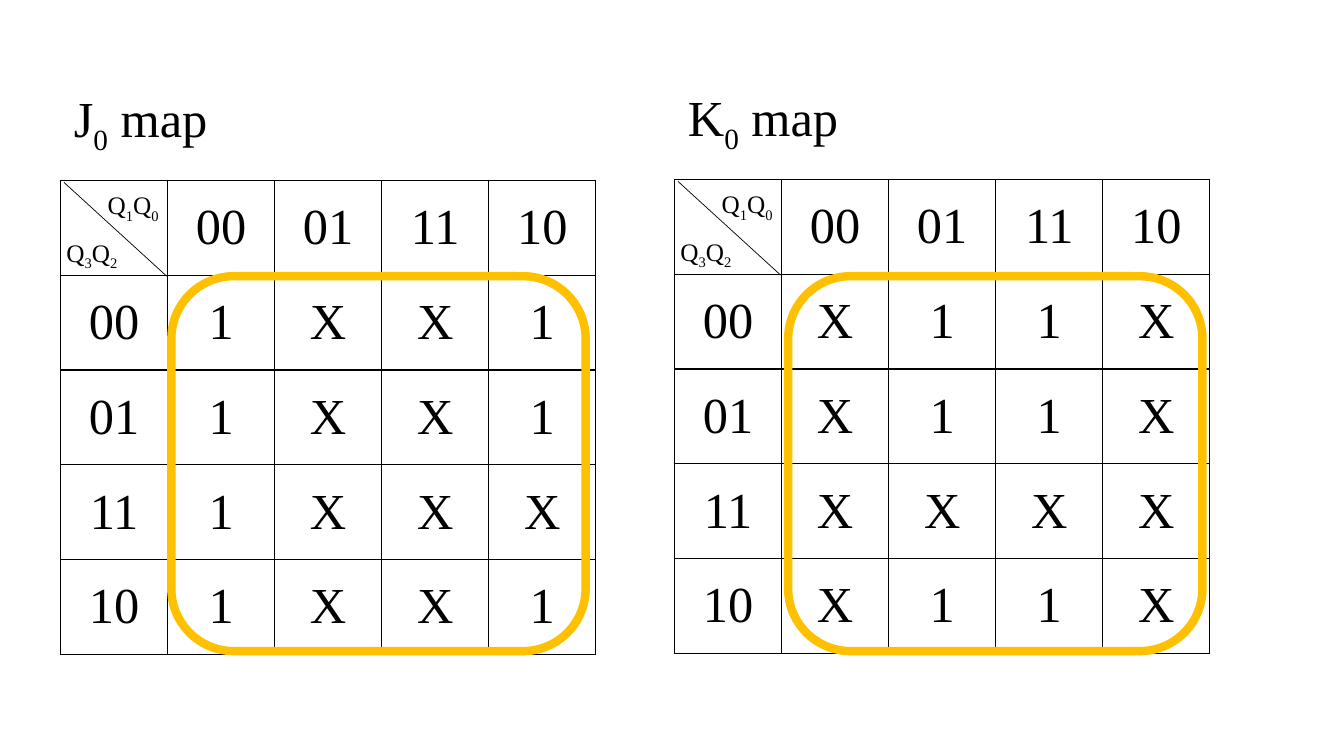
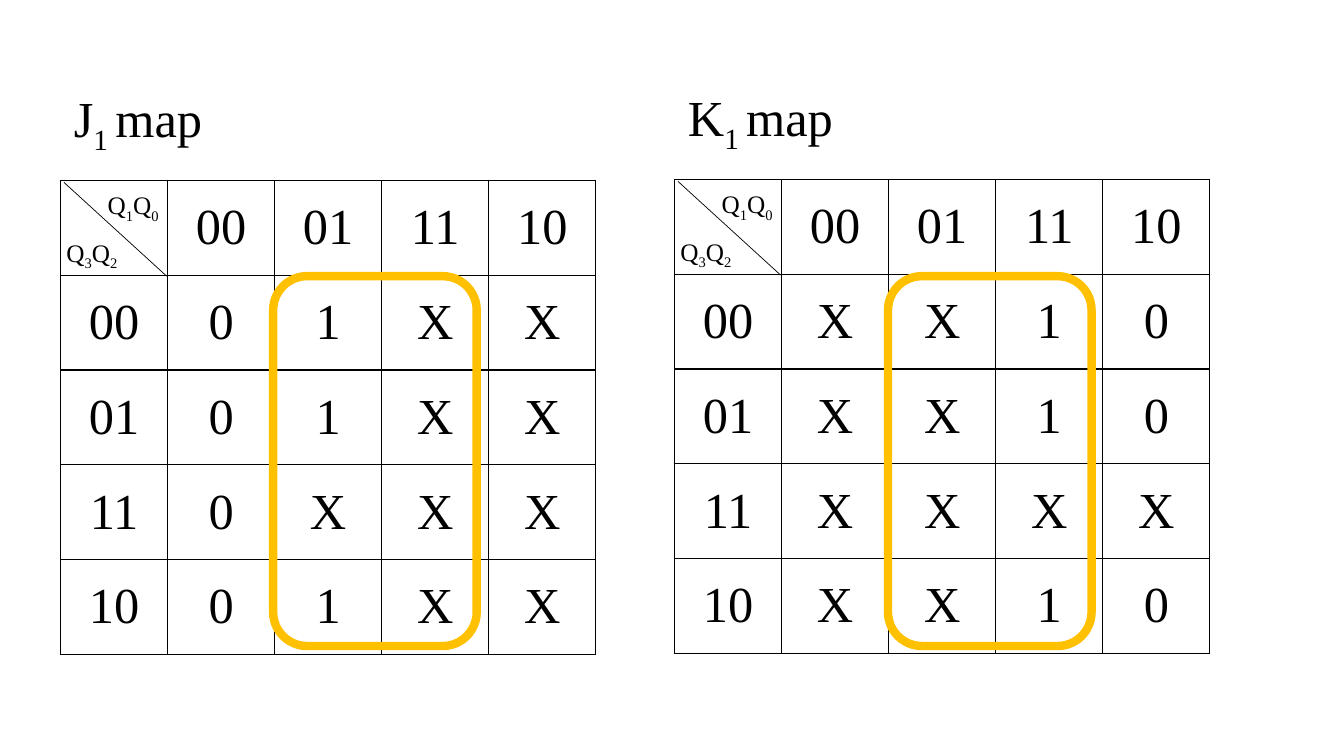
"""Build two slides of Karnaugh maps for the J and K flip-flop inputs."""
from lxml.etree import SubElement
from pptx import Presentation
from pptx.dml.color import RGBColor
from pptx.enum.shapes import MSO_CONNECTOR, MSO_SHAPE
from pptx.enum.text import MSO_ANCHOR, MSO_AUTO_SIZE, PP_ALIGN
from pptx.oxml import parse_xml
from pptx.oxml.ns import nsdecls, qn
from pptx.util import Pt

COLORS = {"ink": "000000", "group": "FFC000"}
FONT = "Times New Roman"
CODES = ["00", "01", "11", "10"]
COLUMN_WIDTH, ROW_HEIGHT = 76.5, 67.7
MAP_ORIGINS = [(43.2, 128.9), (481.8, 128.2)]
GROUP_TOP = 197.3

SLIDES = [
    {
        "subscript": ["0", " map"],
        "group_lefts": [122.4, 563],
        "group_size": (295.9, 267.8),
        "maps": [("J", 112, ["1XX1", "1XX1", "1XXX", "1XX1"]),
                 ("K", 124.6, ["X11X", "X11X", "XXXX", "X11X"])],
    },
    {
        "subscript": ["1 ", "map"],
        "group_lefts": [195.1, 634.3],
        "group_size": (145.4, 264.2),
        "maps": [("J", 112, ["01XX", "01XX", "0XXX", "01XX"]),
                 ("K", 124.6, ["XX10", "XX10", "XXXX", "XX10"])],
    },
]


def style_font(font, size):
    font.name = FONT
    font.size = Pt(size)
    font.color.rgb = RGBColor.from_string(COLORS["ink"])


def add_label(slide, left, top, width, height, size, parts):
    label = slide.shapes.add_textbox(Pt(left), Pt(top), Pt(width), Pt(height))
    label.text_frame.word_wrap = False
    label.text_frame.auto_size = MSO_AUTO_SIZE.SHAPE_TO_FIT_TEXT
    for index, part in enumerate(parts):
        run = label.text_frame.paragraphs[0].add_run()
        run.text = part
        style_font(run.font, size)
        if index % 2:
            run._r.get_or_add_rPr().set("baseline", "-25000")


presentation = Presentation()
presentation.slide_width, presentation.slide_height = Pt(960), Pt(540)

for content in SLIDES:
    slide = presentation.slides.add_slide(presentation.slide_layouts[6])

    for (left, top), (letter, title_width, values) in zip(MAP_ORIGINS, content["maps"]):
        table = slide.shapes.add_table(
            5, 5, Pt(left), Pt(top), Pt(5 * COLUMN_WIDTH), Pt(5 * ROW_HEIGHT)).table
        table.first_row = table.horz_banding = False
        for column in table.columns:
            column.width = Pt(COLUMN_WIDTH)
        rows = [["", *CODES]] + [[code, *line] for code, line in zip(CODES, values)]
        for row, texts in zip(table.rows, rows):
            row.height = Pt(ROW_HEIGHT)
            for cell, text in zip(row.cells, texts):
                cell.vertical_anchor = MSO_ANCHOR.MIDDLE
                cell.margin_left = cell.margin_right = Pt(6)
                cell.margin_top = cell.margin_bottom = Pt(3)
                cell.text_frame.text = text
                paragraph = cell.text_frame.paragraphs[0]
                paragraph.alignment = PP_ALIGN.CENTER
                for run in paragraph.runs:
                    style_font(run.font, 36)
                cell.fill.background()
                for index, edge in enumerate(["lnL", "lnR", "lnT", "lnB"]):
                    cell._tc.tcPr.insert(index, parse_xml(
                        f'<a:{edge} {nsdecls("a")} w="{Pt(1)}"><a:solidFill>'
                        f'<a:srgbClr val="{COLORS["ink"]}"/></a:solidFill></a:{edge}>'))

        add_label(slide, left + 2.5, top - 70.3, title_width, 51, 36,
                  [letter, *content["subscript"]])
        diagonal = slide.shapes.add_connector(
            MSO_CONNECTOR.STRAIGHT, Pt(left + 2.5), Pt(top + 1.4),
            Pt(left + 75.9), Pt(top + 68.4))
        diagonal.line.color.rgb = RGBColor.from_string(COLORS["ink"])
        diagonal.line.width = Pt(0.5)
        SubElement(diagonal._element.spPr, qn("a:effectLst"))
        add_label(slide, left - 2.9, top + 36.7, 52.6, 29, 18, ["Q", "3", "Q", "2"])
        add_label(slide, left + 26.6, top + 2.9, 52.6, 29, 18, ["Q", "1", "Q", "0"])

    group_width, group_height = content["group_size"]
    for group_left in content["group_lefts"]:
        group = slide.shapes.add_shape(
            MSO_SHAPE.ROUNDED_RECTANGLE, Pt(group_left), Pt(GROUP_TOP),
            Pt(group_width), Pt(group_height))
        group.shadow.inherit = False
        group.fill.background()
        group.line.color.rgb = RGBColor.from_string(COLORS["group"])
        group.line.width = Pt(6)

presentation.save("out.pptx")
